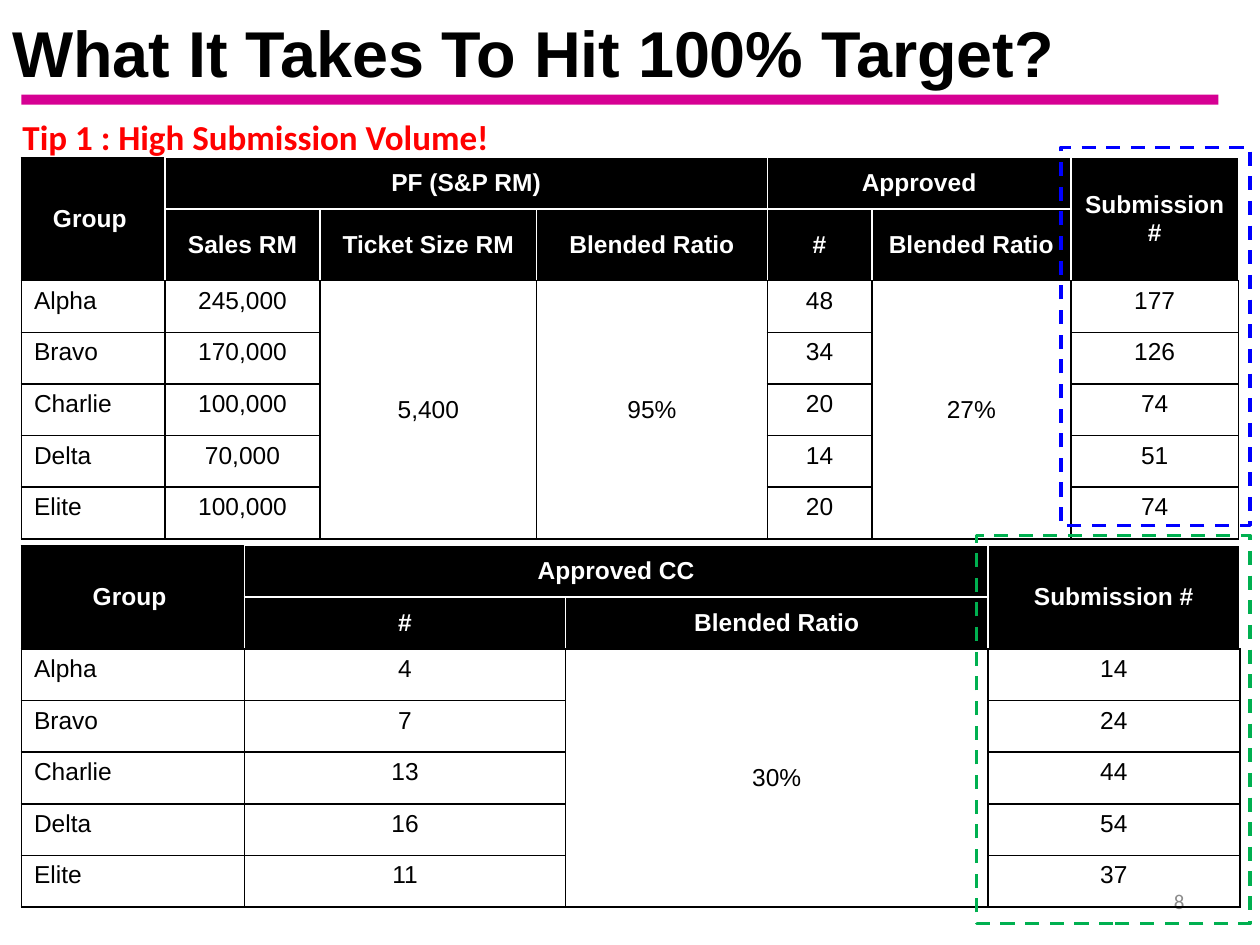
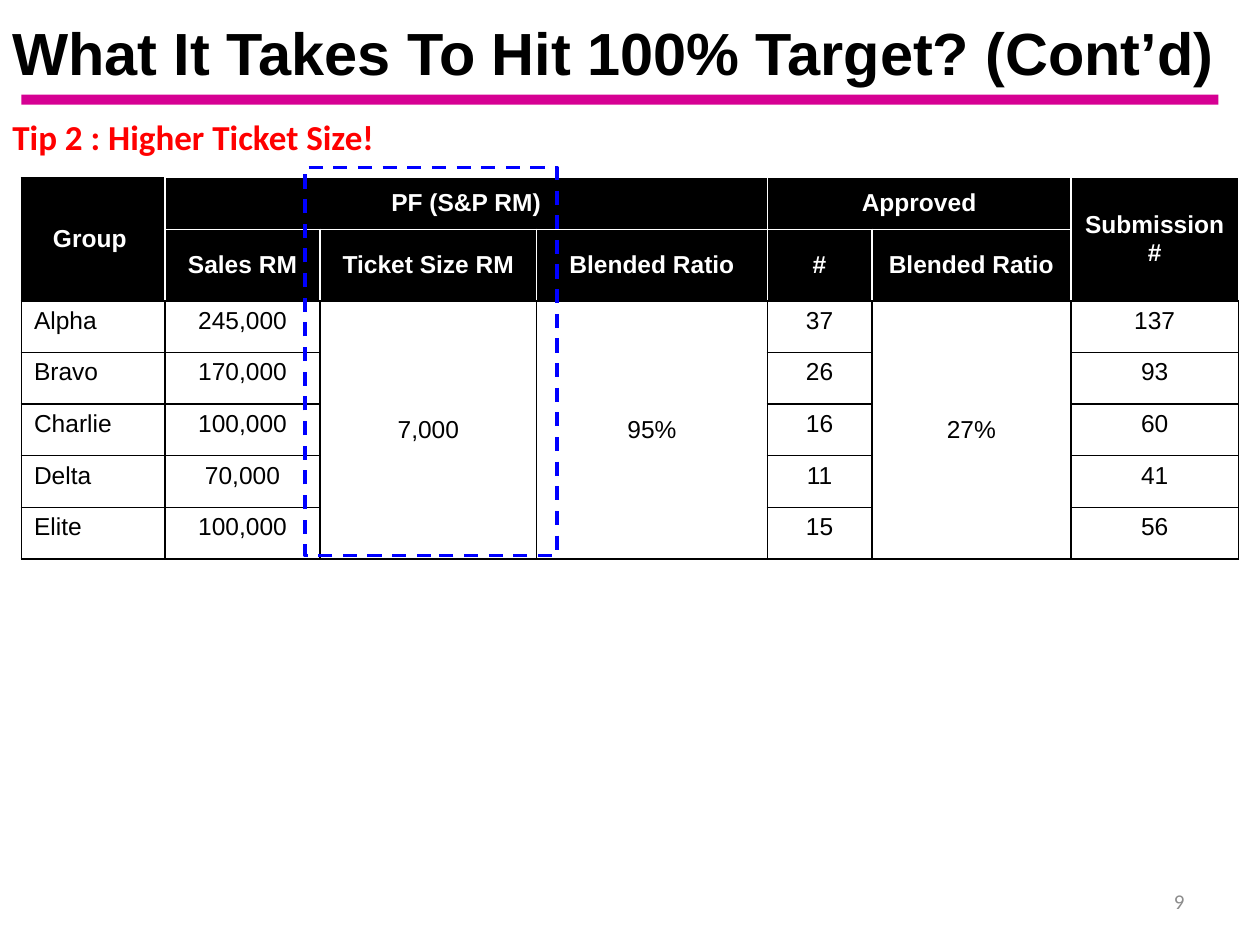
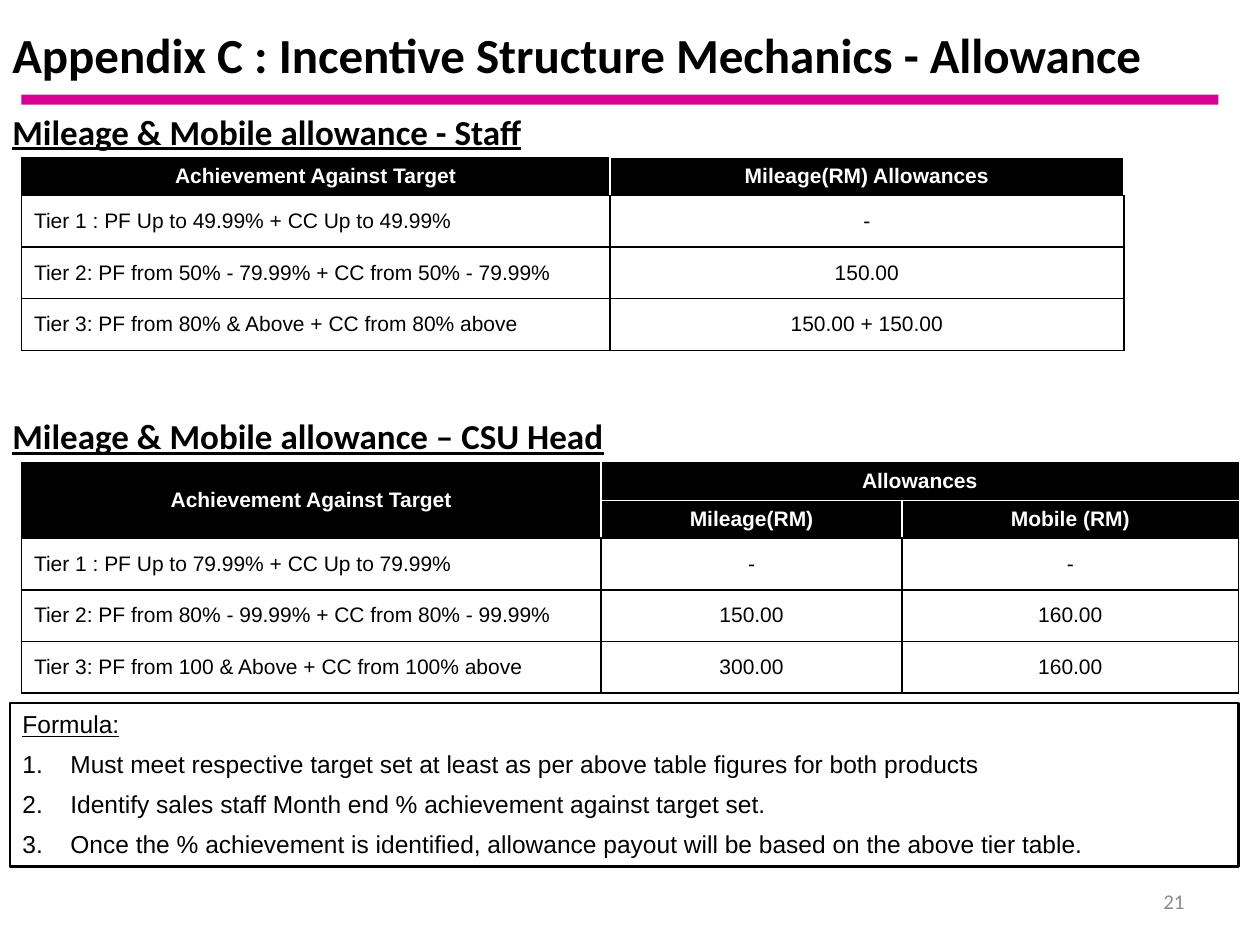
import pptx
import pptx.util
import pptx.oxml
import pptx.oxml.ns
import pptx.dml.color
import pptx.enum.dml
import pptx.enum.shapes
import pptx.enum.text
from lxml import etree

Inches, Pt = pptx.util.Inches, pptx.util.Pt
RGB = pptx.dml.color.RGBColor
ALIGN = pptx.enum.text.PP_ALIGN
ANCHOR = pptx.enum.text.MSO_ANCHOR
qn = pptx.oxml.ns.qn

BLACK = RGB(0x00, 0x00, 0x00)
WHITE = RGB(0xFF, 0xFF, 0xFF)
RED = RGB(0xFF, 0x00, 0x00)
MAGENTA = RGB(0xD6, 0x00, 0x93)
GREY = RGB(0x8C, 0x8C, 0x8C)
BLUE = RGB(0x00, 0x00, 0xFF)
GREEN = RGB(0x00, 0xB0, 0x50)

# Shared grid, in inches
WIDTH, HEIGHT = 10, 7.5
LEFT = 0.17
ROW = 0.41
BAND = (LEFT, 0.75, 9.5, 0.08)
NUMBER = (7.17, 6.95, 2.33, 0.4)

# Table content: "<" continues the cell to the left, "^" the cell above
GROUPS = ["Alpha", "Bravo", "Charlie", "Delta", "Elite"]
SALES = ["245,000", "170,000", "100,000", "70,000", "100,000"]
SALES_COLS = [1.14, 1.23, 1.72, 1.83, 0.83, 1.58, 1.33]
SALES_HEIGHTS = [ROW, 0.54] + [ROW] * 5
SALES_HEAD = [
    ["Group ", "PF (S&P RM)", "<", "<", "Approved", "<", "Submission #"],
    ["^", "Sales RM", "Ticket Size RM", "Blended Ratio", "#", "Blended Ratio", "^"],
]
CARD_COLS = [1.77, 2.55, 3.35, 2]
CARD_HEAD = [
    ["Group ", "Approved CC", "<", "Submission #"],
    ["^", "#", "Blended Ratio", "^"],
]
STAFF_COLS = [4.67, 4.08]
STAFF_ROWS = [
    ["Achievement Against Target", "Mileage(RM) Allowances"],
    ["Tier 1 : PF Up to 49.99% + CC Up to 49.99%", "-"],
    ["Tier 2: PF from 50% - 79.99% + CC from 50% - 79.99%", "150.00"],
    ["Tier 3: PF from 80% & Above + CC from 80% above", "150.00 + 150.00"],
]
HEAD_COLS = [4.6, 2.39, 2.67]
HEAD_ROWS = [
    ["Achievement Against Target", "Allowances", "<"],
    ["^", "Mileage(RM)", "Mobile (RM)"],
    ["Tier 1 : PF Up to 79.99% + CC Up to 79.99%", "-", "-"],
    ["Tier 2: PF from 80% - 99.99% + CC from 80% - 99.99%", "150.00", "160.00"],
    ["Tier 3: PF from 100 & Above + CC from 100% above", "300.00", "160.00"],
]
FORMULA = [
    "Must meet respective target set at least as per above table figures for both products",
    "Identify sales staff Month end % achievement against target set.",
    "Once the % achievement is identified, allowance payout will be based on the above tier table.",
]


def body(*columns):
    """Turn columns into rows; a plain string is one cell down all rows."""
    full = [[c] + ["^"] * (len(GROUPS) - 1) if isinstance(c, str) else c
            for c in columns]
    return [list(row) for row in zip(*full)]


def sales_rows(ticket, approved, submissions):
    return SALES_HEAD + body(GROUPS, SALES, ticket, "95%", approved, "27%", submissions)


def inches(box):
    return [Inches(v) for v in box]


def add_run(p, text, size, font, color, bold=False, underline=False):
    r = p.add_run()
    r.text = text
    r.font.size = Pt(size)
    r.font.name = font
    r.font.color.rgb = color
    r.font.bold = bold
    r.font.underline = underline


def add_text(s, box, text, size, font, color, bold=True, underline=False,
             align=ALIGN.LEFT):
    tf = s.shapes.add_textbox(*inches(box)).text_frame
    tf.word_wrap = True
    tf.vertical_anchor = ANCHOR.MIDDLE
    p = tf.paragraphs[0]
    p.alignment = align
    add_run(p, text, size, font, color, bold, underline)


def add_rect(s, box, fill=None, line=None, width=2, dash=False):
    sp = s.shapes.add_shape(pptx.enum.shapes.MSO_SHAPE.RECTANGLE, *inches(box))
    sp.shadow.inherit = False
    if fill is None:
        sp.fill.background()
    else:
        sp.fill.solid()
        sp.fill.fore_color.rgb = fill
    if line is None:
        sp.line.fill.background()
    else:
        sp.line.color.rgb = line
        sp.line.width = Pt(width)
    if dash:
        sp.line.dash_style = pptx.enum.dml.MSO_LINE.DASH
    return sp


def set_borders(cell, colors):
    tcPr = cell._tc.get_or_add_tcPr()
    for i, (side, color) in enumerate(zip("LRTB", colors)):
        ln = etree.Element(qn("a:ln" + side), w=str(Pt(1)))
        solid = etree.SubElement(ln, qn("a:solidFill"))
        etree.SubElement(solid, qn("a:srgbClr"), val=str(color))
        tcPr.insert(i, ln)


def add_grid(s, top, cols, heights, rows, head, size, edge=WHITE,
             body_anchor=ANCHOR.MIDDLE):
    """Table with `head` black rows; edge colours its top and right sides."""
    tbl = s.shapes.add_table(len(rows), len(cols), *inches(
        (LEFT, top, sum(cols), sum(heights)))).table
    tbl.first_row = tbl.horz_banding = False
    for col, w in zip(tbl.columns, cols):
        col.width = Inches(w)
    for row, h in zip(tbl.rows, heights):
        row.height = Inches(h)
    for i, row in enumerate(rows):
        for j, text in enumerate(row):
            if text in ("<", "^"):
                continue
            # Extent of the cell
            i2, j2 = i, j
            while j2 + 1 < len(cols) and row[j2 + 1] == "<":
                j2 += 1
            while i2 + 1 < len(rows) and rows[i2 + 1][j] == "^":
                i2 += 1
            cell = tbl.cell(i, j)
            if (i2, j2) != (i, j):
                cell.merge(tbl.cell(i2, j2))
            # Fill and borders
            is_head = i < head
            colors = [BLACK] * 4
            if is_head:
                colors = [
                    BLACK if j == 0 else WHITE,
                    edge if j2 == len(cols) - 1 else WHITE,
                    BLACK if j == 0 else edge if i == 0 else WHITE,
                    BLACK if i2 == head - 1 else WHITE,
                ]
            for a in range(i, i2 + 1):
                for b in range(j, j2 + 1):
                    part = tbl.cell(a, b)
                    if is_head:
                        part.fill.solid()
                        part.fill.fore_color.rgb = BLACK
                    else:
                        part.fill.background()
                    set_borders(part, colors)
            # Text
            cell.vertical_anchor = (ANCHOR.MIDDLE if is_head or i2 > i
                                    else body_anchor)
            p = cell.text_frame.paragraphs[0]
            p.alignment = ALIGN.CENTER if is_head or j else ALIGN.LEFT
            add_run(p, text, size, "Arial", WHITE if is_head else BLACK, is_head)


def add_sales(s, top, cols, heights, rows):
    add_grid(s, top, cols, heights, rows, 2, 14, body_anchor=ANCHOR.TOP)


def add_formula(s, box):
    tf = add_rect(s, box, line=BLACK, width=1.5).text_frame
    tf.word_wrap = True
    tf.vertical_anchor = ANCHOR.TOP
    for i, text in enumerate(["Formula:"] + FORMULA):
        p = tf.add_paragraph() if i else tf.paragraphs[0]
        p.alignment = ALIGN.LEFT
        p.space_after = Pt(6)
        add_run(p, text, 14, "Arial", BLACK, underline=i == 0)
        if i:
            pPr = p._p.get_or_add_pPr()
            pPr.set("marL", str(Inches(0.38)))
            pPr.set("indent", str(-Inches(0.38)))
            etree.SubElement(pPr, qn("a:buFont"), typeface="+mj-lt")
            etree.SubElement(pPr, qn("a:buAutoNum"), type="arabicPeriod")


def new_slide(prs, title, size, number, font="Arial", top=0, width=WIDTH):
    s = prs.slides.add_slide(prs.slide_layouts[6])
    add_text(s, (0, top, width, 0.82), title, size, font, BLACK)
    add_rect(s, BAND, fill=MAGENTA)
    add_text(s, NUMBER, number, 12, "Calibri", GREY, bold=False, align=ALIGN.RIGHT)
    return s


def main():
    prs = pptx.Presentation()
    prs.slide_width, prs.slide_height = Inches(WIDTH), Inches(HEIGHT)

    # Tip 1: submission volume
    s = new_slide(prs, "What It Takes To Hit 100% Target?", 37, "8", width=8.58)
    add_text(s, (0.08, 0.83, 8.67, 0.5), "Tip 1 : High Submission Volume!",
             20, "Calibri", RED)
    add_sales(s, 1.25, SALES_COLS, SALES_HEIGHTS, sales_rows(
        "5,400", ["48", "34", "20", "14", "20"], ["177", "126", "74", "51", "74"]))
    add_sales(s, 4.33, CARD_COLS, [ROW] * 7, CARD_HEAD + body(
        GROUPS, ["4", "7", "13", "16", "11"], "30%", ["14", "24", "44", "54", "37"]))
    add_rect(s, (8.42, 1.17, 1.5, 3), line=BLUE, dash=True)
    add_rect(s, (7.75, 4.25, 2.17, 3.08), line=GREEN, dash=True)

    # Tip 2: ticket size
    s = new_slide(prs, "What It Takes To Hit 100% Target? (Cont’d)", 34, "9")
    add_text(s, (0, 0.83, 8.67, 0.5), "Tip 2 : Higher Ticket Size!",
             20, "Calibri", RED)
    add_sales(s, 1.41, SALES_COLS, SALES_HEIGHTS, sales_rows(
        "7,000", ["37", "26", "16", "11", "15"], ["137", "93", "60", "41", "56"]))
    add_rect(s, (2.42, 1.33, 2, 3.08), line=BLUE, dash=True)

    # Appendix: allowances
    s = new_slide(prs, "Appendix C : Incentive Structure Mechanics - Allowance",
                  28, "21", font="Calibri", top=0.02, width=9.83)
    for top, who in ((0.83, "- Staff"), (3.25, "– CSU Head")):
        add_text(s, (0, top, 6.33, 0.42), "Mileage & Mobile allowance " + who,
                 20, "Calibri", BLACK, underline=True)
    add_grid(s, 1.25, STAFF_COLS, [0.29] + [ROW] * 3, STAFF_ROWS, 1, 12)
    add_grid(s, 3.67, HEAD_COLS, [0.3] * 2 + [ROW] * 3, HEAD_ROWS, 2, 12, edge=BLACK)
    add_formula(s, (0.08, 5.58, 9.75, 1.3))

    prs.save("out.pptx")


if __name__ == "__main__":
    main()
